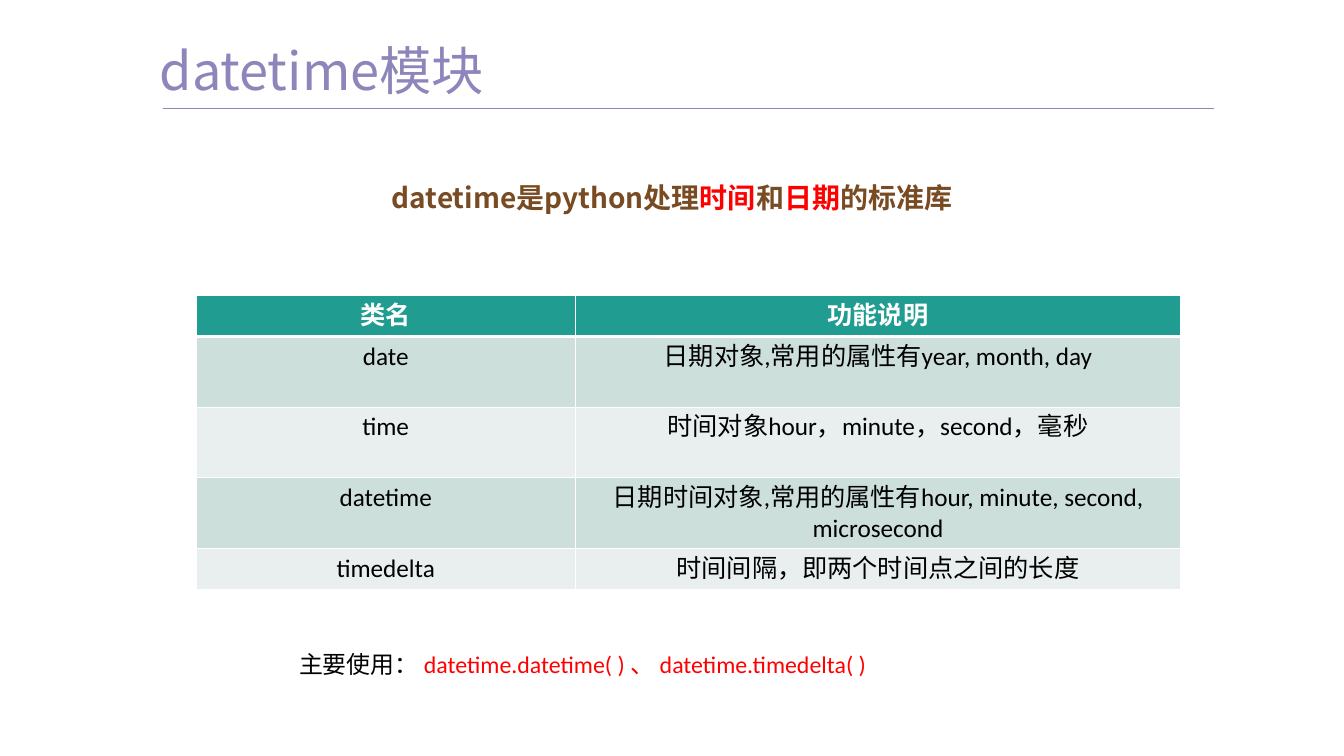
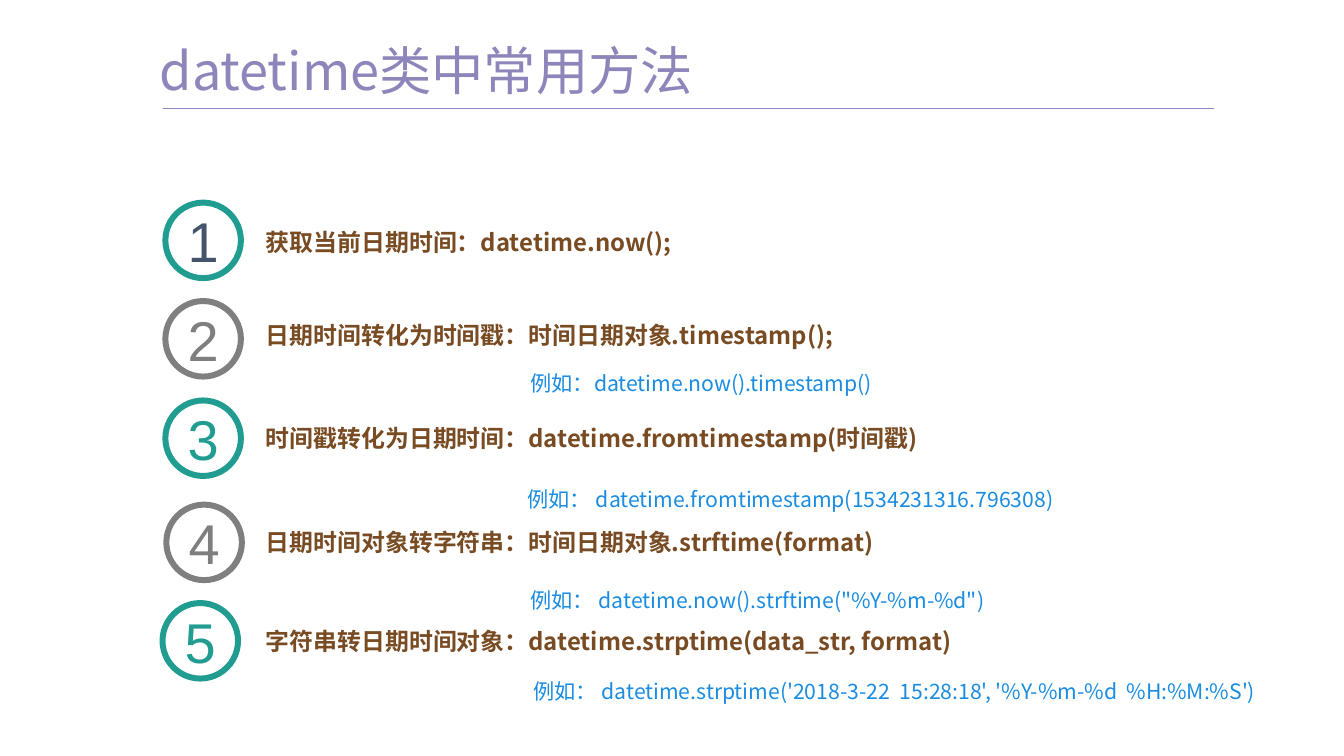
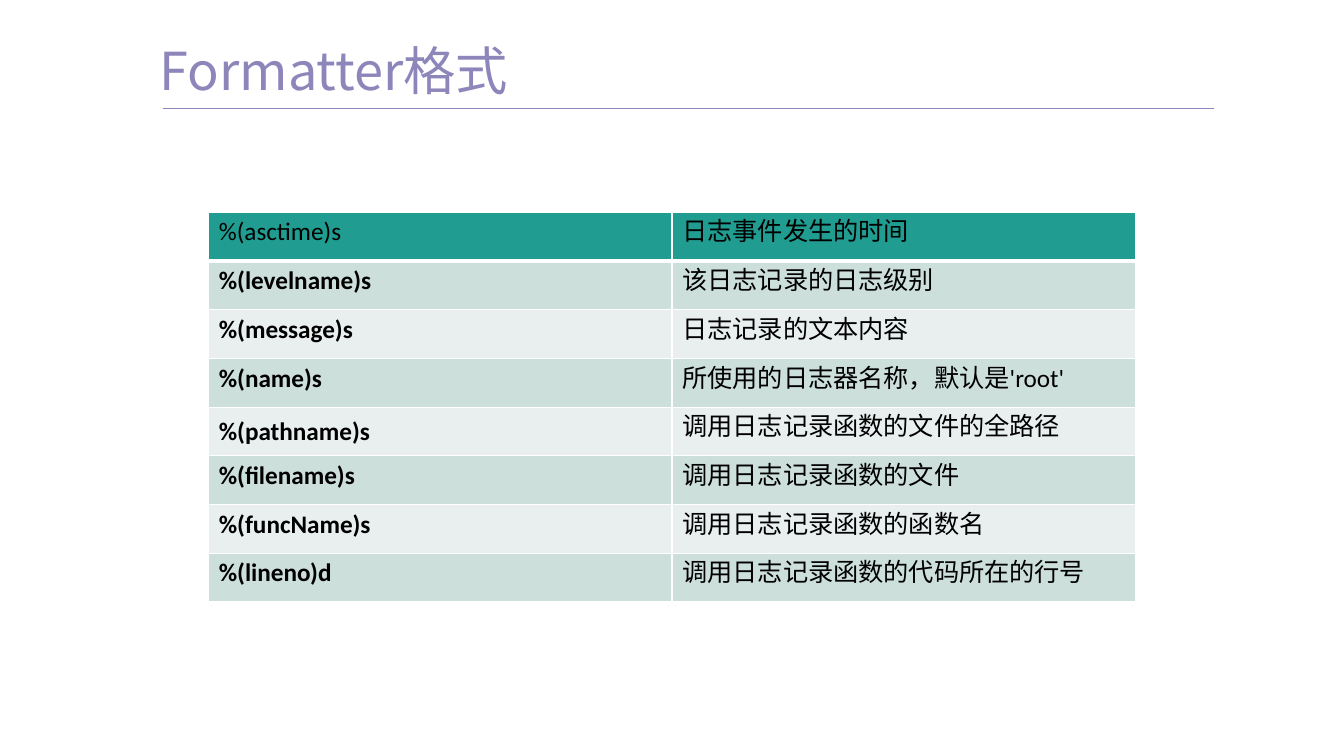
from lxml import etree
from pptx import Presentation
from pptx.dml.color import RGBColor
from pptx.enum import shapes, text
from pptx.oxml import ns
from pptx.util import Inches, Pt

PURPLE = RGBColor(0x8D, 0x86, 0xBA)
BROWN = RGBColor(0x78, 0x4B, 0x23)
RED = RGBColor(0xFF, 0x00, 0x00)
BLUE = RGBColor(0x1A, 0x8C, 0xE1)
TEAL = RGBColor(0x20, 0x9D, 0x90)
GRAY = RGBColor(0x7F, 0x7F, 0x7F)
SLATE = RGBColor(0x44, 0x54, 0x6A)
BLACK = RGBColor(0x00, 0x00, 0x00)
WHITE = RGBColor(0xFF, 0xFF, 0xFF)
BANDS = [RGBColor(0xCD, 0xDF, 0xDB), RGBColor(0xE8, 0xEF, 0xEE)]

HEADING_FONT = "Noto Sans CJK SC"
BODY_FONT = "Calibri"
NUMBER_FONT = "Arial"
LEFT, CENTER = text.PP_ALIGN.LEFT, text.PP_ALIGN.CENTER
TOP, MIDDLE = text.MSO_ANCHOR.TOP, text.MSO_ANCHOR.MIDDLE

SUMMARY = [
    ("datetime是python处理", BROWN), ("时间", RED), ("和", BROWN),
    ("日期", RED), ("的标准库", BROWN),
]
USAGE = [
    ("主要使用： ", BLACK),
    ("datetime.datetime( ) 、 datetime.timedelta( )", RED),
]
CLASSES = [
    ("类名", "功能说明"),
    ("date", "日期对象,常用的属性有year, month, day"),
    ("time", "时间对象hour，minute，second，毫秒"),
    ("datetime", "日期时间对象,常用的属性有hour, minute, second, microsecond"),
    ("timedelta", "时间间隔，即两个时间点之间的长度"),
]
METHODS = [
    (1.73, 2.12, TEAL, SLATE, 2.38, "获取当前日期时间：datetime.now();"),
    (1.73, 3.15, GRAY, GRAY, 3.36, "日期时间转化为时间戳：时间日期对象.timestamp();"),
    (1.73, 4.19, TEAL, TEAL, 4.43, "时间戳转化为日期时间：datetime.fromtimestamp(时间戳)"),
    (1.74, 5.28, GRAY, GRAY, 5.52, "日期时间对象转字符串：时间日期对象.strftime(format)"),
    (1.70, 6.31, TEAL, TEAL, 6.56, "字符串转日期时间对象：datetime.strptime(data_str, format)"),
]
EXAMPLES = [
    (5.55, 3.87, "例如：datetime.now().timestamp()"),
    (5.52, 5.09, "例如： datetime.fromtimestamp(1534231316.796308)"),
    (5.55, 6.14, '例如： datetime.now().strftime("%Y-%m-%d")'),
    (5.58, 7.10, "例如： datetime.strptime('2018-3-22  15:28:18', '%Y-%m-%d  %H:%M:%S')"),
]
FORMATS = [
    ("%(asctime)s", "日志事件发生的时间"),
    ("%(levelname)s", "该日志记录的日志级别"),
    ("%(message)s", "日志记录的文本内容"),
    ("%(name)s", "所使用的日志器名称，默认是'root'"),
    ("%(pathname)s", "调用日志记录函数的文件的全路径"),
    ("%(filename)s", "调用日志记录函数的文件"),
    ("%(funcName)s", "调用日志记录函数的函数名"),
    ("%(lineno)d", "调用日志记录函数的代码所在的行号"),
]


def write(frame, runs, size, font, bold=False, align=LEFT, spacing=None):
    paragraph = frame.paragraphs[0]
    paragraph.alignment = align
    if spacing:
        paragraph.line_spacing = spacing
    paragraph.font.size = Pt(size)
    paragraph.font.bold = bold
    paragraph.font.name = font
    if len({color for _, color in runs}) == 1:
        paragraph.font.color.rgb = runs[0][1]
    defaults = paragraph._p.pPr.find(ns.qn("a:defRPr"))
    etree.SubElement(defaults, ns.qn("a:ea"), typeface=font)
    for words, color in runs:
        run = paragraph.add_run()
        run.text = words
        if len(runs) > 1:
            run.font.color.rgb = color


def set_frame(frame, anchor, inset_x=0, inset_y=0):
    frame.word_wrap = True
    frame.auto_size = text.MSO_AUTO_SIZE.NONE
    frame.vertical_anchor = anchor
    frame.margin_left = frame.margin_right = Inches(inset_x)
    frame.margin_top = frame.margin_bottom = Inches(inset_y)


def add_label(slide, box, runs, size, font, anchor=MIDDLE, inset=(0, 0), **style):
    frame = slide.shapes.add_textbox(*map(Inches, box)).text_frame
    set_frame(frame, anchor, *inset)
    write(frame, runs, size, font, **style)


def add_titled_slide(deck, words):
    slide = deck.slides.add_slide(deck.slide_layouts[5])
    title = slide.shapes.title
    title.left, title.top, title.width, title.height = map(Inches, (1.67, 0.47, 11, 0.66))
    set_frame(title.text_frame, TOP)
    write(title.text_frame, [(words, PURPLE)], 39.4, HEADING_FONT, spacing=0.9)
    rule = slide.shapes.add_connector(
        shapes.MSO_CONNECTOR.STRAIGHT, *map(Inches, (1.7, 1.13, 12.7, 1.13)))
    rule.line.color.rgb = PURPLE
    rule.line.width = Pt(0.5)
    etree.SubElement(rule._element.spPr, ns.qn("a:effectLst"))
    return slide


def set_borders(cell, widths):
    properties = cell._tc.get_or_add_tcPr()
    for index, (side, width) in enumerate(widths.items()):
        line = etree.Element(ns.qn("a:ln" + side), w=str(Pt(width)))
        fill = etree.SubElement(line, ns.qn("a:solidFill"))
        etree.SubElement(fill, ns.qn("a:srgbClr"), val=str(WHITE))
        properties.insert(index, line)


def add_grid(slide, left, top, widths, heights, rows, header_color, align, is_bold):
    box = map(Inches, (left, top, sum(widths), sum(heights)))
    table = slide.shapes.add_table(len(rows), len(widths), *box).table
    table.first_row = table.horz_banding = False
    for column, width in zip(table.columns, widths):
        column.width = Inches(width)
    for r, (row, height) in enumerate(zip(rows, heights)):
        table.rows[r].height = Inches(height)
        for c, words in enumerate(row):
            cell = table.cell(r, c)
            cell.margin_left = cell.margin_right = Inches(0.11)
            cell.margin_top = cell.margin_bottom = Inches(0.05)
            cell.vertical_anchor = MIDDLE if words == "%(pathname)s" else TOP
            cell.fill.solid()
            cell.fill.fore_color.rgb = BANDS[(r - 1) % 2] if r else TEAL
            set_borders(cell, {"L": 1, "R": 1, "T": 3 if r == 1 else 1, "B": 1 if r else 3})
            write(cell.text_frame, [(words, BLACK if r else header_color)], 19,
                  BODY_FONT, bold=is_bold(r, c), align=align)


def add_number(slide, left, top, number, ring_color, color):
    ring = slide.shapes.add_shape(
        shapes.MSO_SHAPE.OVAL, *map(Inches, (left, top, 0.79, 0.79)))
    ring.shadow.inherit = False
    ring.fill.solid()
    ring.fill.fore_color.rgb = WHITE
    ring.line.color.rgb = ring_color
    ring.line.width = Pt(4.5)
    set_frame(ring.text_frame, MIDDLE)
    write(ring.text_frame, [(str(number), color)], 42.2, NUMBER_FONT, align=CENTER)


def build_module_slide(deck):
    slide = add_titled_slide(deck, "datetime模块")
    add_label(slide, (3.35, 1.88, 7.36, 0.46), SUMMARY, 21.1, HEADING_FONT, TOP,
              (0.1, 0.05), bold=True, align=CENTER, spacing=0.9)
    add_grid(slide, 2.05, 3.09, [3.97, 6.33], [0.43, 0.74, 0.74, 0.74, 0.43], CLASSES,
             WHITE, CENTER, lambda r, c: r == 0)
    add_label(slide, (3.03, 6.78, 7.56, 0.4), USAGE, 18, BODY_FONT, TOP,
              (0.1, 0.05), spacing=0.9)


def build_methods_slide(deck):
    slide = add_titled_slide(deck, "datetime类中常用方法")
    for number, (left, top, ring, color, text_top, words) in enumerate(METHODS, 1):
        add_number(slide, left, top, number, ring, color)
        add_label(slide, (2.78, text_top, 9.79, 0.3), [(words, BROWN)], 18,
                  HEADING_FONT, bold=True)
    for left, top, words in EXAMPLES:
        add_label(slide, (left, top, 7.93, 0.27), [(words, BLUE)], 16, HEADING_FONT)


def build_formatter_slide(deck):
    slide = add_titled_slide(deck, "Formatter格式")
    add_grid(slide, 2.18, 2.22, [4.85] * 2, [0.51] * len(FORMATS), FORMATS,
             BLACK, LEFT, lambda r, c: r > 0 and c == 0)


def main():
    deck = Presentation()
    deck.slide_width, deck.slide_height = Inches(14.06), Inches(7.91)
    build_module_slide(deck)
    build_methods_slide(deck)
    build_formatter_slide(deck)
    deck.save("out.pptx")


if __name__ == "__main__":
    main()
